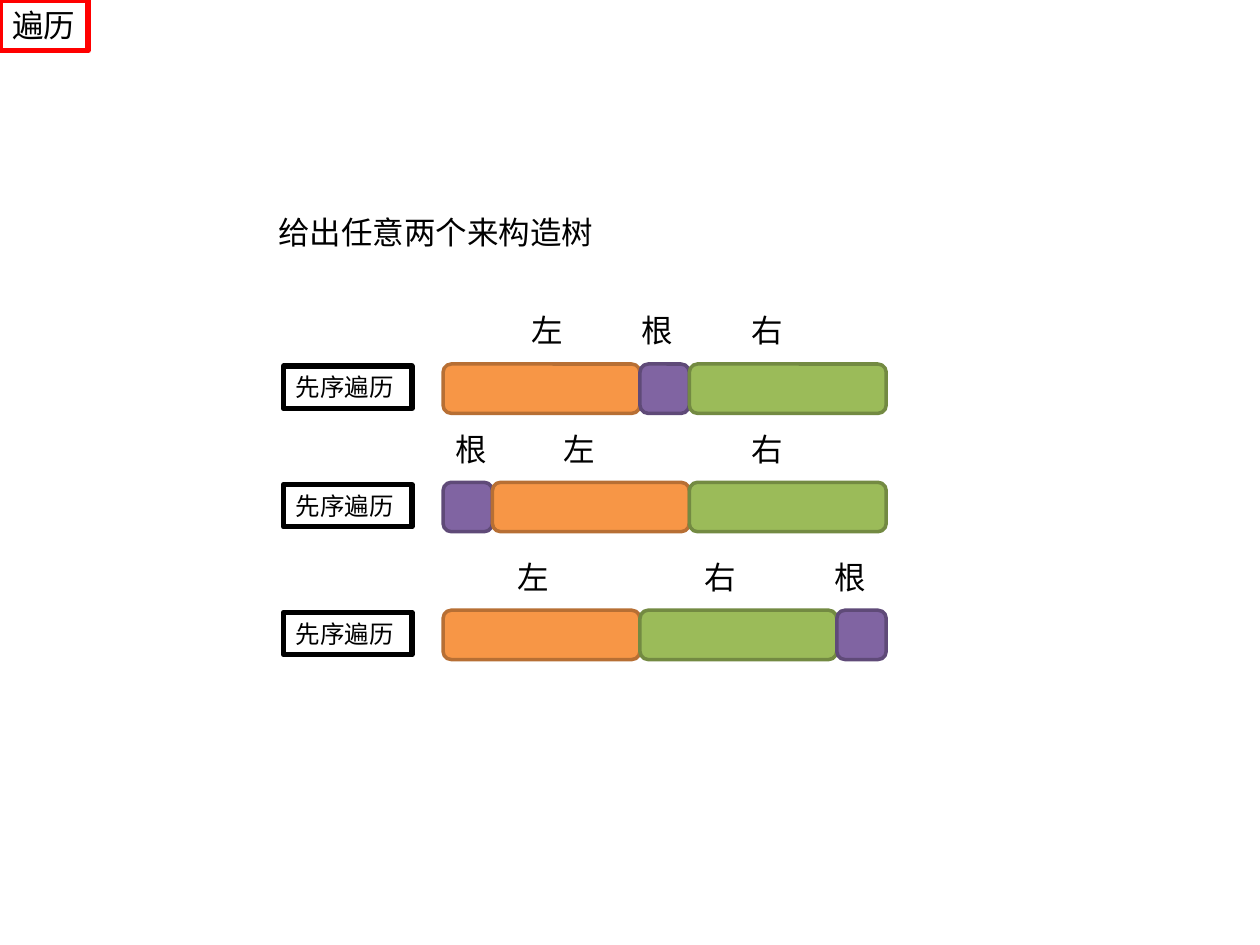
from dataclasses import dataclass
from lxml.etree import SubElement
from pptx import Presentation
from pptx.dml.color import RGBColor
from pptx.enum.shapes import MSO_SHAPE
from pptx.enum.text import MSO_ANCHOR, MSO_AUTO_SIZE, PP_ALIGN
from pptx.oxml.ns import qn
from pptx.util import Pt


@dataclass(frozen=True)
class Theme:
    font: str = "Calibri"
    ink: str = "000000"
    accent: str = "FF0000"
    left: tuple = ("F79646", "B76F34")
    right: tuple = ("9BBB59", "738A42")
    root: tuple = ("8064A2", "5F4A78")
    body: int = 18
    label: int = 14
    frame_line: int = 3
    bar_line: int = 2


class TraversalPage:
    """Draws the elements of the traversal page in one theme."""

    def __init__(self, page, theme):
        self.page, self.theme = page, theme

    def fill_text(self, box, text, size, wrap=True, tabs=()):
        frame = box.text_frame
        settings = {"word_wrap": wrap, "auto_size": MSO_AUTO_SIZE.SHAPE_TO_FIT_TEXT,
                    "vertical_anchor": MSO_ANCHOR.TOP}
        for name, value in settings.items():
            setattr(frame, name, value)
        para = frame.paragraphs[0]
        para.alignment = PP_ALIGN.LEFT
        if tabs:
            stops = SubElement(para._p.get_or_add_pPr(), qn("a:tabLst"))
            for stop in tabs:
                SubElement(stops, qn("a:tab"), pos=str(Pt(stop)), algn="l")
        span = para.add_run()
        span.text = text
        for name, value in {"name": self.theme.font, "size": Pt(size)}.items():
            setattr(span.font, name, value)
        span.font.color.rgb = RGBColor.from_string(self.theme.ink)

    def shape(self, kind, place, line, width, fill=None):
        shape = self.page.shapes.add_shape(kind, *map(Pt, place))
        shape.shadow.inherit = False
        if fill:
            shape.fill.solid()
            shape.fill.fore_color.rgb = RGBColor.from_string(fill)
        else:
            shape.fill.background()
        shape.line.color.rgb = RGBColor.from_string(line)
        shape.line.width = Pt(width)
        return shape

    def framed(self, text, place, line, size):
        box = self.shape(MSO_SHAPE.RECTANGLE, place, line, self.theme.frame_line)
        self.fill_text(box, text, size)

    def bar(self, place, colours):
        fill, line = colours
        self.shape(MSO_SHAPE.ROUNDED_RECTANGLE, place, line, self.theme.bar_line, fill)

    def text(self, text, place, wrap=True, tabs=()):
        box = self.page.shapes.add_textbox(*map(Pt, place))
        self.fill_text(box, text, self.theme.body, wrap, tabs)


def main():
    deck = Presentation()
    deck.slide_width, deck.slide_height = Pt(720), Pt(540)
    theme = Theme()
    page = TraversalPage(deck.slides.add_slide(deck.slide_layouts[6]), theme)

    page.framed("遍历", (0, 0, 50.4, 29), theme.accent, theme.body)
    page.text("给出任意两个来构造树", (152, 118, 196.6, 29), wrap=False)

    bar_left, bar_height = 253.2, 28.2
    parts = {"左": (112.5, theme.left), "根": (28.2, theme.root), "右": (112.5, theme.right)}
    rows = [
        (208, "左根右", "\t左\t根\t右", (43.5, 106.5, 169)),
        (275.6, "根左右", "根\t左\t右", (62, 169)),
        (348.7, "左右根", "\t左\t右\t根", (35.5, 142.5, 216.5)),
    ]
    for top, order, caption, tabs in rows:
        left = bar_left
        for part in order:
            width, colours = parts[part]
            page.bar((left, top, width, bar_height), colours)
            left += width
        page.framed("先序遍历", (162, top + 1.2, 73.4, 24.3), theme.ink, theme.label)
        page.text(caption, (bar_left, top - 33.6, left - bar_left, 29), tabs=tabs)

    deck.save("out.pptx")


if __name__ == "__main__":
    main()
